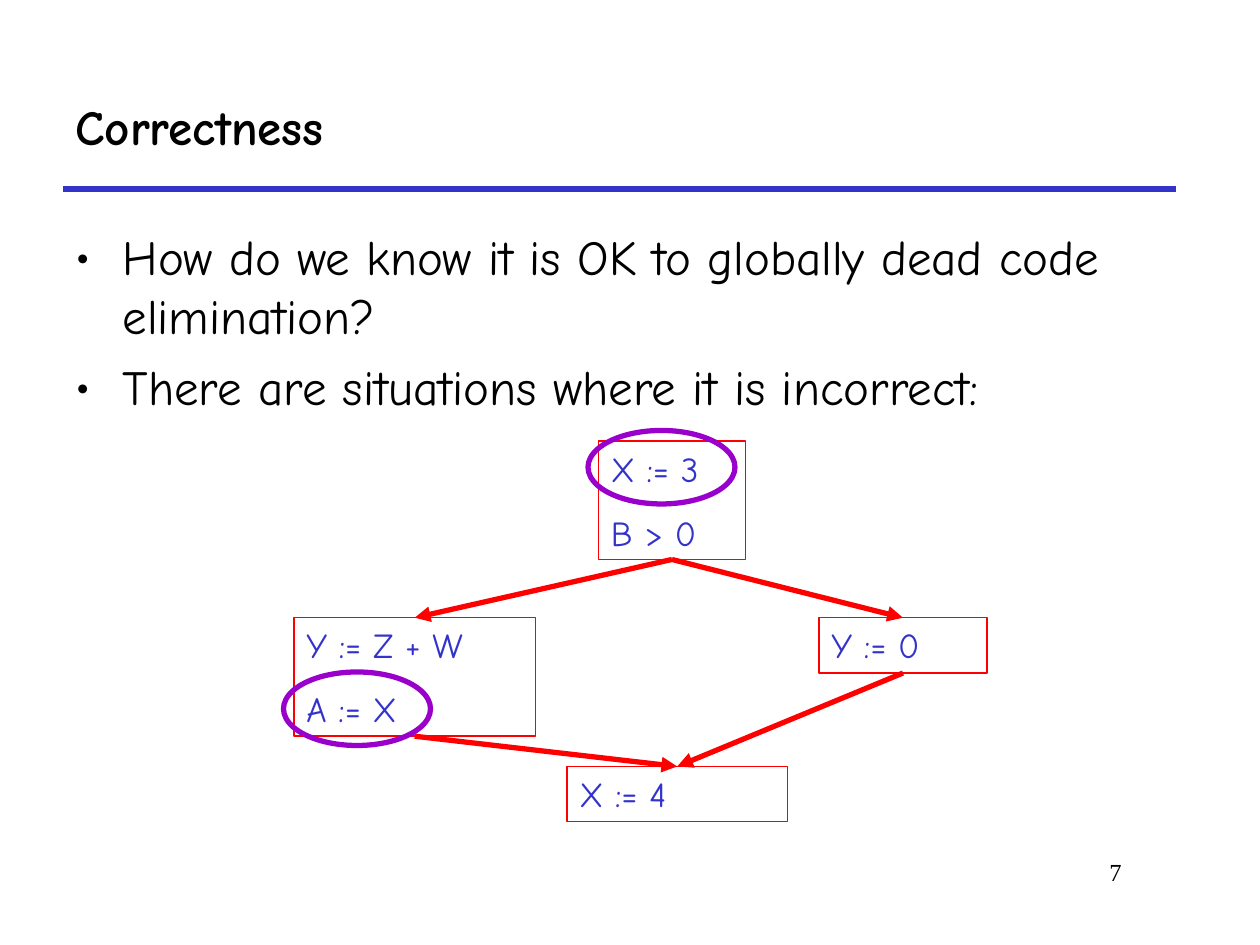
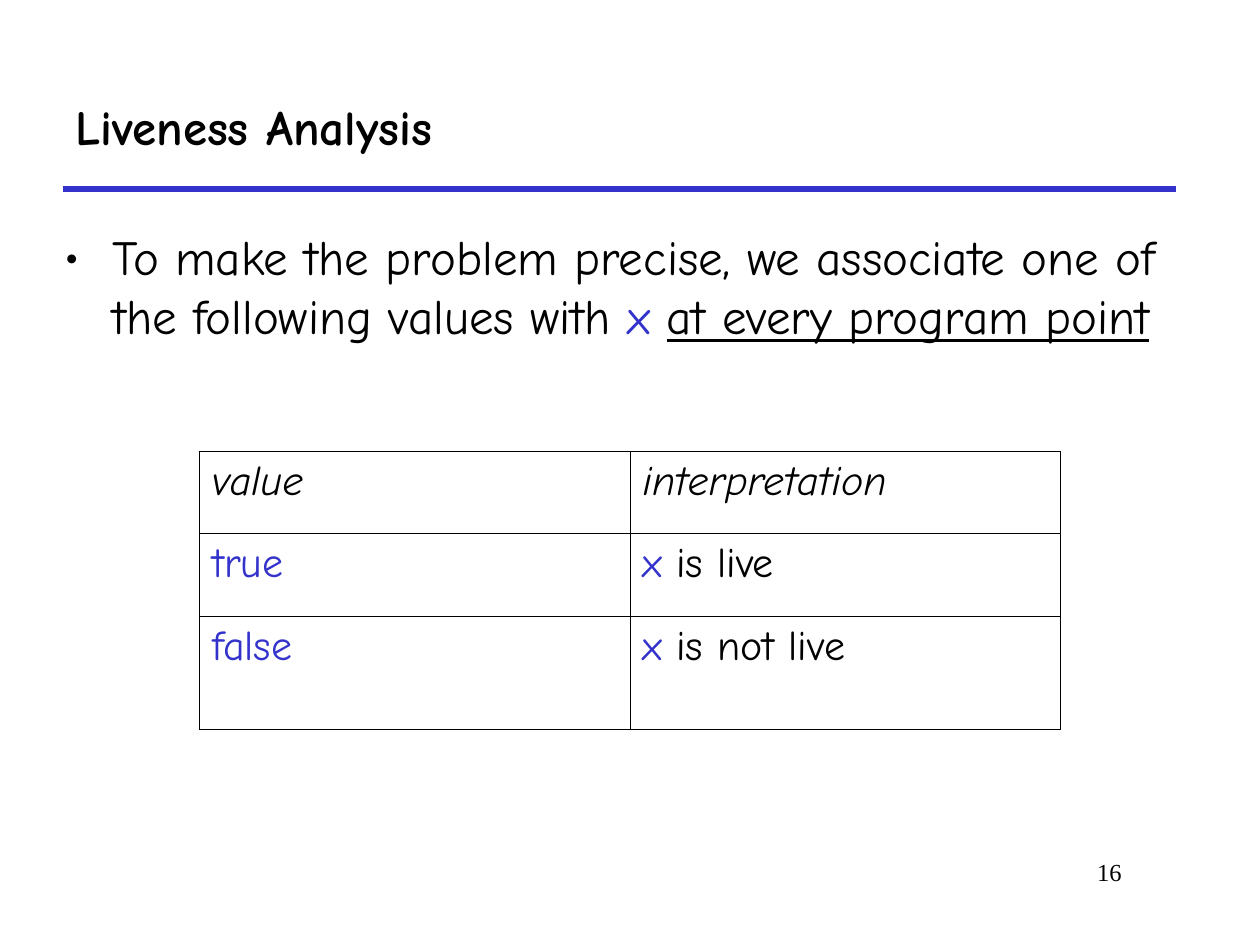
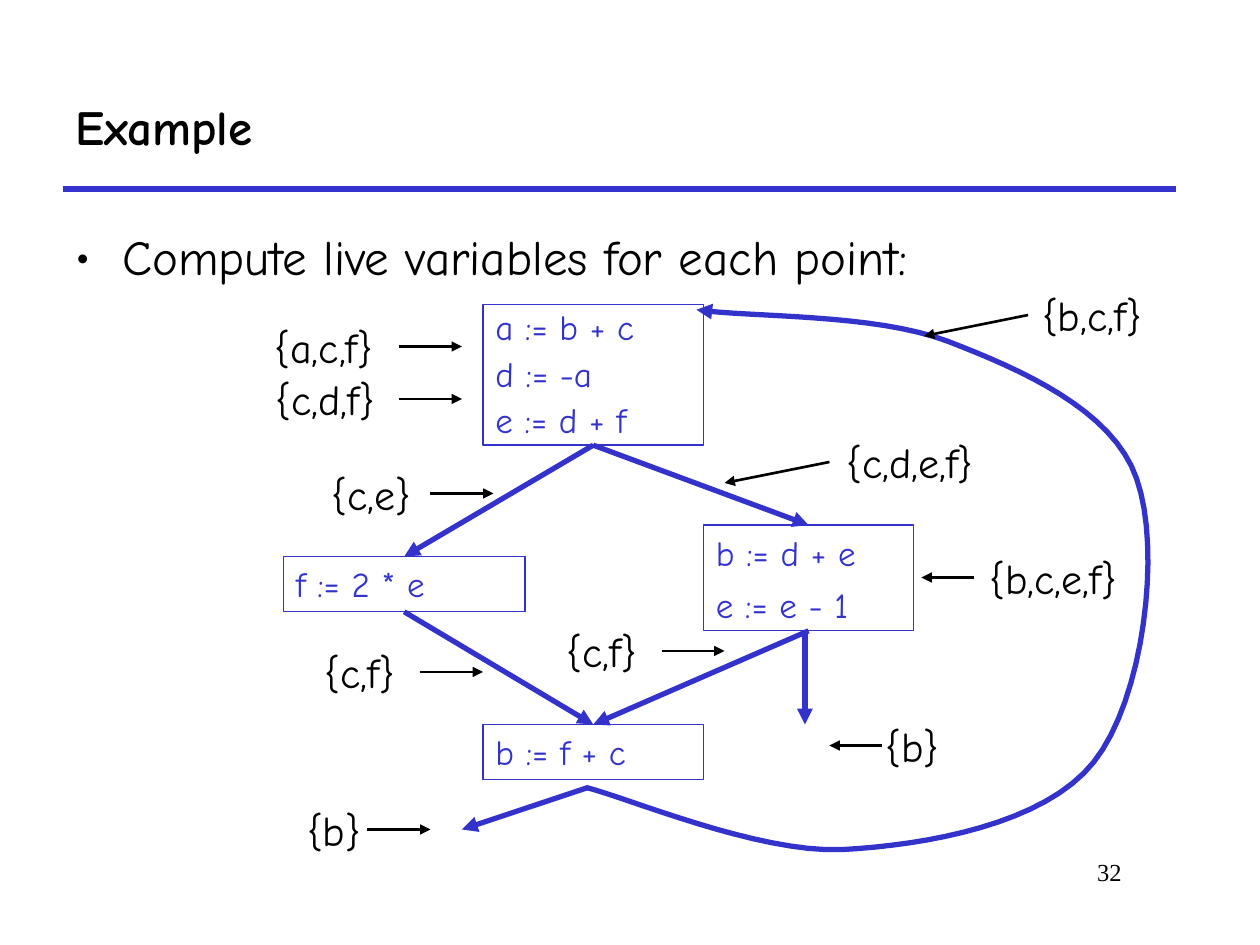
from dataclasses import dataclass
from typing import NamedTuple

from lxml.etree import SubElement
from pptx import Presentation
from pptx.dml.color import RGBColor
from pptx.enum.shapes import MSO_CONNECTOR, MSO_SHAPE
from pptx.enum.text import MSO_ANCHOR, MSO_AUTO_SIZE, PP_ALIGN
from pptx.oxml.ns import qn
from pptx.util import Pt


@dataclass(frozen=True)
class Theme:
    black: RGBColor = RGBColor(0x00, 0x00, 0x00)
    blue: RGBColor = RGBColor(0x33, 0x33, 0xCC)
    red: RGBColor = RGBColor(0xFF, 0x00, 0x00)
    purple: RGBColor = RGBColor(0x99, 0x00, 0xCC)
    font: str = "Comic Neue"
    number_font: str = "Times New Roman"
    heading_size: float = 28
    label_size: float = 24
    code_size: float = 20
    number_size: float = 14
    thick: float = 3
    medium: float = 1.5
    thin: float = 0.75
    cell_border: float = 0.45


THEME = Theme()
TOP, BOTTOM = 0, 2  # connection sites of a rectangle


class Box(NamedTuple):
    left: float
    top: float
    width: float
    height: float

    def lengths(self) -> list:
        return [Pt(value) for value in self]


class Span(NamedTuple):
    text: str
    color: RGBColor = THEME.black
    bold: bool = False
    italic: bool = False
    underline: bool = False


@dataclass(frozen=True)
class CodeBlock:
    box: Box
    lines: tuple
    spacings: tuple = ()


@dataclass(frozen=True)
class LiveSet:
    """Label whose arrow starts level with the middle of the text."""
    text: str
    left: float
    top: float
    width: float
    arrow_left: float
    tip: tuple


TITLE_BOX = Box(36, 36, 636, 72)
BODY_BOX = Box(36, 126, 654, 348)
NUMBER_BOX = Box(498, 486, 150, 36)
RULE_START, RULE_END = (36, 108), (672, 108)
ONE_LINE, TWO_LINES, LABEL_HEIGHT = 31.6, 67.7, 36


# Text
def write_spans(paragraph, spans, size: float, font: str = THEME.font) -> None:
    for span in spans:
        run = paragraph.add_run()
        run.text = span.text
        run.font.name = font
        run.font.size = Pt(size)
        run.font.color.rgb = span.color
        run.font.bold = span.bold
        run.font.italic = span.italic
        run.font.underline = span.underline


def add_text(slide, box: Box, span: Span, size: float, font: str = THEME.font,
             align=PP_ALIGN.LEFT) -> None:
    frame = slide.shapes.add_textbox(*box.lengths()).text_frame
    frame.word_wrap = True
    frame.paragraphs[0].alignment = align
    write_spans(frame.paragraphs[0], [span], size, font)


def add_bullets(slide, box: Box, bullets) -> None:
    frame = slide.shapes.add_textbox(*box.lengths()).text_frame
    frame.word_wrap = True
    for index, spans in enumerate(bullets):
        paragraph = frame.add_paragraph() if index else frame.paragraphs[0]
        paragraph.space_before = Pt(7)
        write_spans(paragraph, spans, THEME.heading_size)
        properties = paragraph._p.get_or_add_pPr()
        properties.set("marL", str(Pt(27)))
        properties.set("indent", str(-Pt(27)))
        SubElement(properties, qn("a:buFont"), typeface=THEME.font)
        SubElement(properties, qn("a:buChar"), char="•")


# Lines and shapes
def style_line(shape, color: RGBColor, width: float, arrow: bool = False) -> None:
    shape.line.color.rgb = color
    shape.line.width = Pt(width)
    if arrow:
        SubElement(shape.element.spPr.find(qn("a:ln")), qn("a:tailEnd"), type="triangle")


def add_line(slide, start, end, color: RGBColor, width: float, arrow: bool = True):
    line = slide.shapes.add_connector(
        MSO_CONNECTOR.STRAIGHT, *[Pt(value) for value in (*start, *end)])
    style_line(line, color, width, arrow)
    SubElement(line.element.spPr, qn("a:effectLst"))
    return line


def add_outline(slide, kind, box: Box, color: RGBColor, width: float):
    outline = slide.shapes.add_shape(kind, *box.lengths())
    outline.shadow.inherit = False
    outline.fill.background()
    style_line(outline, color, width)
    return outline


def add_code_block(slide, block: CodeBlock, color: RGBColor):
    rectangle = add_outline(slide, MSO_SHAPE.RECTANGLE, block.box, color, THEME.thin)
    frame = rectangle.text_frame
    frame.word_wrap = True
    frame.vertical_anchor = MSO_ANCHOR.TOP
    for index, line in enumerate(block.lines):
        paragraph = frame.add_paragraph() if index else frame.paragraphs[0]
        paragraph.alignment = PP_ALIGN.LEFT
        paragraph.space_before = Pt(12.5)
        if block.spacings:
            paragraph.line_spacing = block.spacings[index]
        write_spans(paragraph, [Span(line, THEME.blue)], THEME.code_size)
    return rectangle


def add_flow_graph(slide, blocks: dict, edges, color: RGBColor) -> None:
    drawn = {name: add_code_block(slide, block, color) for name, block in blocks.items()}
    for source, target in edges:
        edge = add_line(slide, (0, 0), (1, 1), color, THEME.thick)
        edge.begin_connect(drawn[source], BOTTOM)
        edge.end_connect(drawn[target], TOP)


def add_live_set(slide, live: LiveSet) -> None:
    add_text(slide, Box(live.left, live.top, live.width, LABEL_HEIGHT),
             Span(live.text), THEME.label_size)
    add_line(slide, (live.arrow_left, live.top + LABEL_HEIGHT / 2), live.tip,
             THEME.black, THEME.medium)


def bezier_points(start, curves, steps: int = 16) -> list:
    points = []
    for first, second, end in curves:
        for step in range(1, steps + 1):
            t = step / steps
            u = 1 - t
            points.append(tuple(
                Pt(u**3 * a + 3 * u * u * t * b + 3 * u * t * t * c + t**3 * d)
                for a, b, c, d in zip(start, first, second, end)))
        start = end
    return points


def add_curved_arrow(slide, start, curves, color: RGBColor) -> None:
    builder = slide.shapes.build_freeform(Pt(start[0]), Pt(start[1]))
    builder.add_line_segments(bezier_points(start, curves), close=False)
    curve = builder.convert_to_shape()
    curve.shadow.inherit = False
    curve.fill.background()
    style_line(curve, color, THEME.thick, arrow=True)


# Table
def border_cell(cell) -> None:
    properties = cell._tc.get_or_add_tcPr()
    for side in ("lnL", "lnR", "lnT", "lnB"):
        border = SubElement(properties, qn(f"a:{side}"), w=str(Pt(THEME.cell_border)))
        fill = SubElement(border, qn("a:solidFill"))
        SubElement(fill, qn("a:srgbClr"), val=str(THEME.black))
    cell.fill.background()


def add_value_table(slide, box: Box, rows, row_heights) -> None:
    table = slide.shapes.add_table(len(rows), len(rows[0]), *box.lengths()).table
    table.first_row = table.horz_banding = False
    for column in table.columns:
        column.width = Pt(box.width / len(rows[0]))
    for row, height, contents in zip(table.rows, row_heights, rows):
        row.height = Pt(height)
        for cell, spans in zip(row.cells, contents):
            border_cell(cell)
            paragraph = cell.text_frame.paragraphs[0]
            paragraph.space_before = Pt(6)
            write_spans(paragraph, spans, THEME.label_size)


# Shared slide frame
def add_lecture_slide(deck, heading: str, number: int):
    slide = deck.slides.add_slide(deck.slide_layouts[5])
    title = slide.shapes.title
    title.left, title.top, title.width, title.height = TITLE_BOX.lengths()
    frame = title.text_frame
    frame.auto_size = MSO_AUTO_SIZE.NONE
    frame.vertical_anchor = MSO_ANCHOR.MIDDLE
    frame.paragraphs[0].alignment = PP_ALIGN.LEFT
    write_spans(frame.paragraphs[0], [Span(heading, bold=True)], THEME.heading_size)
    add_line(slide, RULE_START, RULE_END, THEME.blue, THEME.thick, arrow=False)
    add_text(slide, NUMBER_BOX, Span(str(number)), THEME.number_size,
             THEME.number_font, PP_ALIGN.RIGHT)
    return slide


# Slides
def build_correctness(deck) -> None:
    slide = add_lecture_slide(deck, "Correctness", 7)
    add_bullets(slide, BODY_BOX, [
        [Span("How do we know it is OK to globally dead code elimination?")],
        [Span("There are situations where it is incorrect:")],
    ])
    blocks = {
        "test": CodeBlock(Box(342, 252, 84, TWO_LINES), ("X := 3", "B > 0")),
        "use": CodeBlock(Box(168, 353, 138, TWO_LINES), ("Y := Z + W", "A := X")),
        "skip": CodeBlock(Box(468, 353, 96, ONE_LINE), ("Y := 0",)),
        "join": CodeBlock(Box(324, 438, 126, ONE_LINE), ("X := 4",)),
    }
    edges = [("test", "use"), ("test", "skip"), ("use", "join"), ("skip", "join")]
    add_flow_graph(slide, blocks, edges, THEME.red)
    for left, top in ((162, 384), (336, 246)):
        add_outline(slide, MSO_SHAPE.OVAL, Box(left, top, 84, 42),
                    THEME.purple, THEME.thick)


def build_liveness(deck) -> None:
    slide = add_lecture_slide(deck, "Liveness Analysis", 16)
    add_bullets(slide, Box(30, 126, 660, 114), [[
        Span("To make the problem precise, we associate one of "
             "the following values with "),
        Span("x ", THEME.blue),
        Span("at every program point", underline=True),
    ]])
    variable = Span("x", THEME.blue)
    rows = [
        ([Span("value", italic=True)], [Span("interpretation", italic=True)]),
        ([Span("true", THEME.blue)], [variable, Span(" is live")]),
        ([Span("false", THEME.blue)], [variable, Span(" is not live")]),
    ]
    add_value_table(slide, Box(114, 258, 492, 159), rows, (47, 47, 65))


def build_example(deck) -> None:
    slide = add_lecture_slide(deck, "Example", 32)
    add_bullets(slide, BODY_BOX, [[Span("Compute live variables for each point:")]])

    # Flow graph with its loop and exits
    blocks = {
        "entry": CodeBlock(Box(276, 174, 126, 80.4),
                           ("a := b + c", "d := -a", "e := d + f"), (0.9, 0.5, 0.6)),
        "double": CodeBlock(Box(162, 318, 138, ONE_LINE), ("f := 2 * e",)),
        "decrement": CodeBlock(Box(402, 300, 120, 60.5),
                               ("b := d + e", "e := e - 1"), (1.0, 0.7)),
        "join": CodeBlock(Box(276, 414, 126, ONE_LINE), ("b := f + c",)),
    }
    edges = [("entry", "double"), ("entry", "decrement"),
             ("double", "join"), ("decrement", "join")]
    add_flow_graph(slide, blocks, edges, THEME.blue)
    add_line(slide, (460, 360), (460, 414), THEME.blue, THEME.thick)
    add_curved_arrow(slide, (335, 450), [
        ((359, 456), (433, 487.5), (481, 485.5)),
        ((529, 483), (597, 471), (625, 435.5)),
        ((653.5, 400), (664, 314), (649.5, 273.5)),
        ((636, 234), (583, 211), (541.5, 195)),
        ((499.5, 179), (428.5, 181.5), (398, 177)),
    ], THEME.blue)
    add_line(slide, (336, 450), (264, 474), THEME.blue, THEME.thick)

    # Live variables at each point
    for live in (
        LiveSet("{b}", 168.5, 456, 50, 210, (246, 474)),
        LiveSet("{c,e}", 182.5, 264, 66, 246, (282, 282)),
        LiveSet("{b}", 499, 408, 50, 504, (474, 426)),
        LiveSet("{c,f}", 178.6, 366, 60, 240, (276, 384)),
        LiveSet("{c,f}", 316.8, 354, 60, 378, (414, 372)),
        LiveSet("{b,c,e,f}", 558.5, 312, 92, 556.5, (526.5, 330)),
        LiveSet("{c,d,e,f}", 476.6, 246, 92, 474, (414, 276)),
        LiveSet("{b,c,f}", 588.5, 162, 76, 587.5, (528, 192)),
        LiveSet("{c,d,f}", 150.5, 210, 76, 228, (264, 228)),
        LiveSet("{a,c,f}", 149.8, 180, 76, 228, (264, 198)),
    ):
        add_live_set(slide, live)


def main() -> None:
    deck = Presentation()
    deck.slide_width, deck.slide_height = Pt(720), Pt(540)
    build_correctness(deck)
    build_liveness(deck)
    build_example(deck)
    deck.save("out.pptx")


if __name__ == "__main__":
    main()
